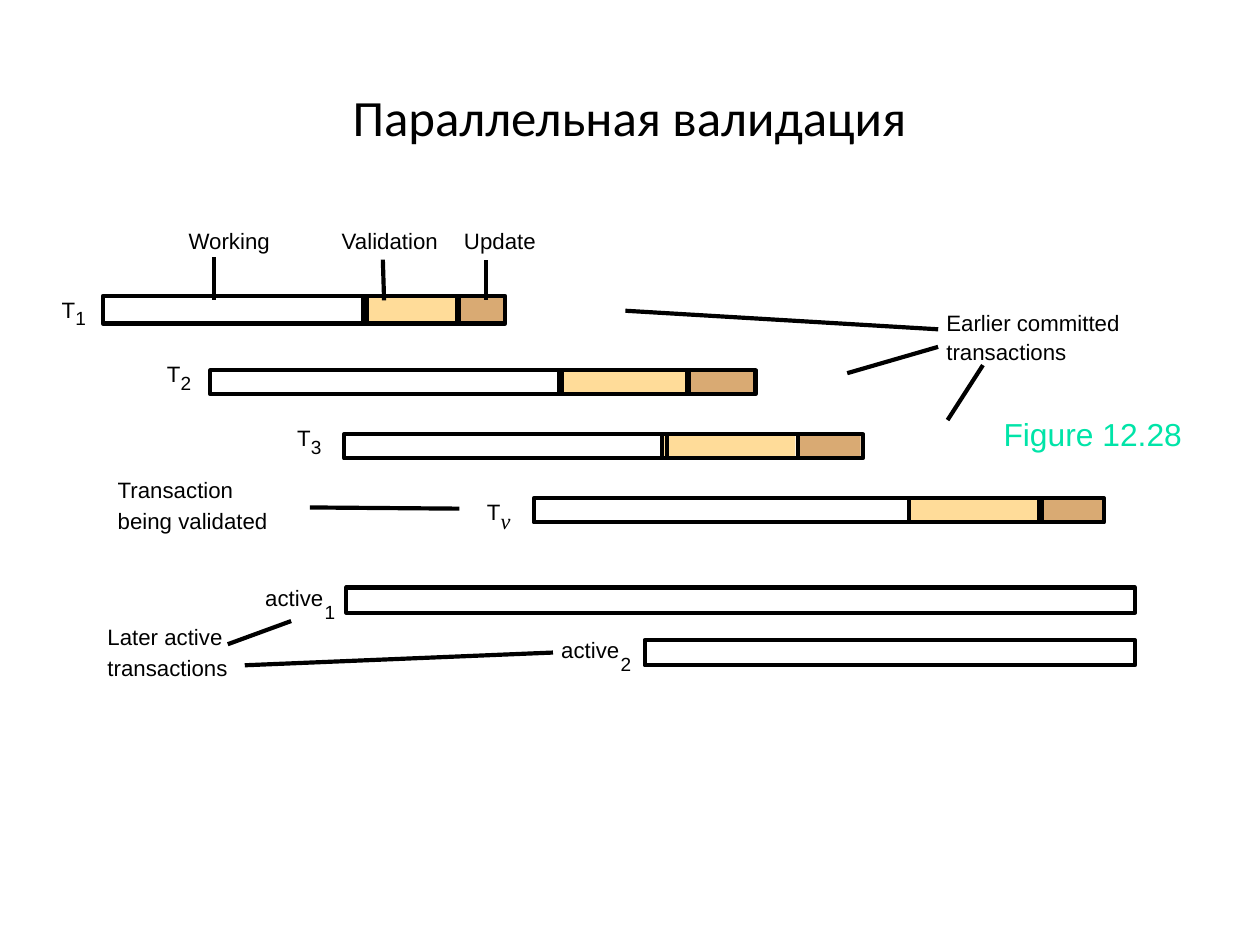
from lxml.etree import SubElement
from pptx import Presentation
from pptx.dml.color import RGBColor as RGB
from pptx.enum.shapes import MSO_CONNECTOR as CONN, MSO_SHAPE as SHAPE
from pptx.enum.text import MSO_ANCHOR as ANCHOR, MSO_AUTO_SIZE as FIT, PP_ALIGN as ALIGN
from pptx.oxml.ns import qn
from pptx.util import Cm, Inches, Pt

CELL = Inches(0.1)
STROKE = Pt(2.64)
EDGE = 0.2
COLORS = {"ink": "000000", "working": "FFFFFF", "validation": "FFDC99",
          "update": "D9AA73", "figure": "00E4A8"}
PHASES = ("working", "validation", "update")
LABEL = {"name": "Arial", "size": Pt(14)}
SUB = {"name": "Arial", "size": Pt(12)}
VAR = {"name": "Times New Roman", "size": Pt(14), "italic": True}
TITLE = {"name": "Calibri", "size": Pt(32)}
FIGURE = {"name": "Arial", "size": Pt(20)}

BARS = [
    (25.9, 2.4, [(9, 32.1), (31.8, 40.2), (40, 44.2)]),
    (32.4, 2.1, [(18.4, 49.2), (48.9, 60.3), (60.1, 66.1)]),
    (38, 2.1, [(30.1, 58.4), (57.9, 69.8), (69.8, 75.5)]),
    (43.6, 2.1, [(46.7, 79.5), (79.5, 91.2), (90.9, 96.6)]),
    (51.4, 2.2, [(30.3, 99.3)]),
    (56, 2.2, [(56.4, 99.3)]),
]
NAMES = [
    (5.4, 25.9, "T", "1", 1.2, 0.9, SUB),
    (14.6, 31.5, "T", "2", 1.2, 1, SUB),
    (26, 37.1, "T", "3", 1.2, 1, SUB),
    (42.6, 43.6, "T", "v", 1.2, 0.8, VAR),
    (23.2, 51.1, "active", "1", 5.2, 1.4, SUB),
    (49.1, 55.7, "active", "2", 5.2, 1.4, SUB),
]
NOTES = [
    (16.5, 19.9, 7.4, ["Working"], 0),
    (29.9, 19.9, 8.7, ["Validation"], 0),
    (40.6, 19.9, 6.6, ["Update"], 0),
    (82.8, 27.1, 15.5, ["Earlier committed", "transactions"], 1.2),
    (10.3, 41.7, 13.4, ["Transaction", "being validated"], 2.7),
    (9.4, 54.5, 10.8, ["Later active", "transactions"], 2.9),
]
POINTERS = [
    (18.7, 22.7, 18.7, 26.1), (33.5, 22.9, 33.6, 26.1), (42.5, 22.9, 42.5, 26.1),
    (54.9, 27.2, 81.9, 28.8), (74.3, 32.6, 81.9, 30.4), (83, 36.6, 85.9, 32.1),
    (27.3, 44.4, 40, 44.5), (20.1, 56.3, 25.3, 54.4), (21.6, 58.2, 48.2, 57.1),
]


def cells(*values):
    """Convert grid columns and rows to lengths."""
    return [int(v * CELL) for v in values]


def add_text(s, box, lines, fmt, color="ink", gap=0, align=ALIGN.LEFT, title=False):
    """Add a text box without margins, one paragraph per line."""
    tf = s.shapes.add_textbox(*cells(*box)).text_frame
    frame = {"word_wrap": title, "margin_left": 0, "margin_right": 0, "margin_top": 0,
             "margin_bottom": 0, "vertical_anchor": ANCHOR.MIDDLE if title else ANCHOR.TOP,
             "auto_size": FIT.NONE if title else FIT.SHAPE_TO_FIT_TEXT}
    for key, value in frame.items():
        setattr(tf, key, value)
    for i, line in enumerate(lines):
        p = tf.add_paragraph() if i else tf.paragraphs[0]
        p.alignment = align
        if i:
            p.space_before = Pt(gap)
        r = p.add_run()
        r.text = line
        for key, value in fmt.items():
            setattr(r.font, key, value)
        r.font.color.rgb = RGB.from_string(COLORS[color])


def add_rect(s, box, fill=None):
    """Add a plain filled rectangle, or a black outline when no fill is given."""
    sp = s.shapes.add_shape(SHAPE.RECTANGLE, *cells(*box))
    sp.shadow.inherit = False
    if fill:
        sp.fill.solid()
        sp.fill.fore_color.rgb = RGB.from_string(COLORS[fill])
        sp.line.fill.background()
    else:
        sp.fill.background()
        sp.line.color.rgb = RGB.from_string(COLORS["ink"])
        sp.line.width = STROKE


def add_bar(s, top, height, spans):
    """Add a transaction bar: phase fills first, then their outlines."""
    for phase, (left, right) in zip(PHASES, spans):
        add_rect(s, (left, top, right - left - EDGE, height - EDGE), phase)
    for left, right in spans:
        add_rect(s, (left, top, right - left, height))


def add_pointer(s, ends):
    """Add a straight black square-ended line between two grid points."""
    line = s.shapes.add_connector(CONN.STRAIGHT, *cells(*ends))
    line.line.color.rgb = RGB.from_string(COLORS["ink"])
    line.line.width = STROKE
    sppr = line._element.spPr
    sppr.find(qn("a:ln")).set("cap", "sq")
    SubElement(sppr, qn("a:effectLst"))


def add_name(s, left, top, base, sub, dx, dy, fmt):
    """Add a transaction name with its lowered index."""
    add_text(s, (left, top, dx, 2.3), [base], LABEL)
    add_text(s, (left + dx, top + dy, 0.9, 2), [sub], fmt)


def main():
    """Build the parallel validation slide."""
    prs = Presentation()
    prs.slide_width, prs.slide_height = Cm(28), Cm(21)
    s = prs.slides.add_slide(prs.slide_layouts[6])
    add_text(s, (5.5, 3.3, 99.2, 13.8), ["Параллельная валидация"], TITLE,
             align=ALIGN.CENTER, title=True)
    for bar in BARS:
        add_bar(s, *bar)
    for ends in POINTERS:
        add_pointer(s, ends)
    for name in NAMES:
        add_name(s, *name)
    for left, top, width, lines, gap in NOTES:
        add_text(s, (left, top, width, 2.4 * len(lines)), lines, LABEL, gap=gap)
    add_text(s, (87.8, 36.3, 16, 3.4), ["Figure 12.28"], FIGURE, "figure")
    prs.save("out.pptx")


if __name__ == "__main__":
    main()
